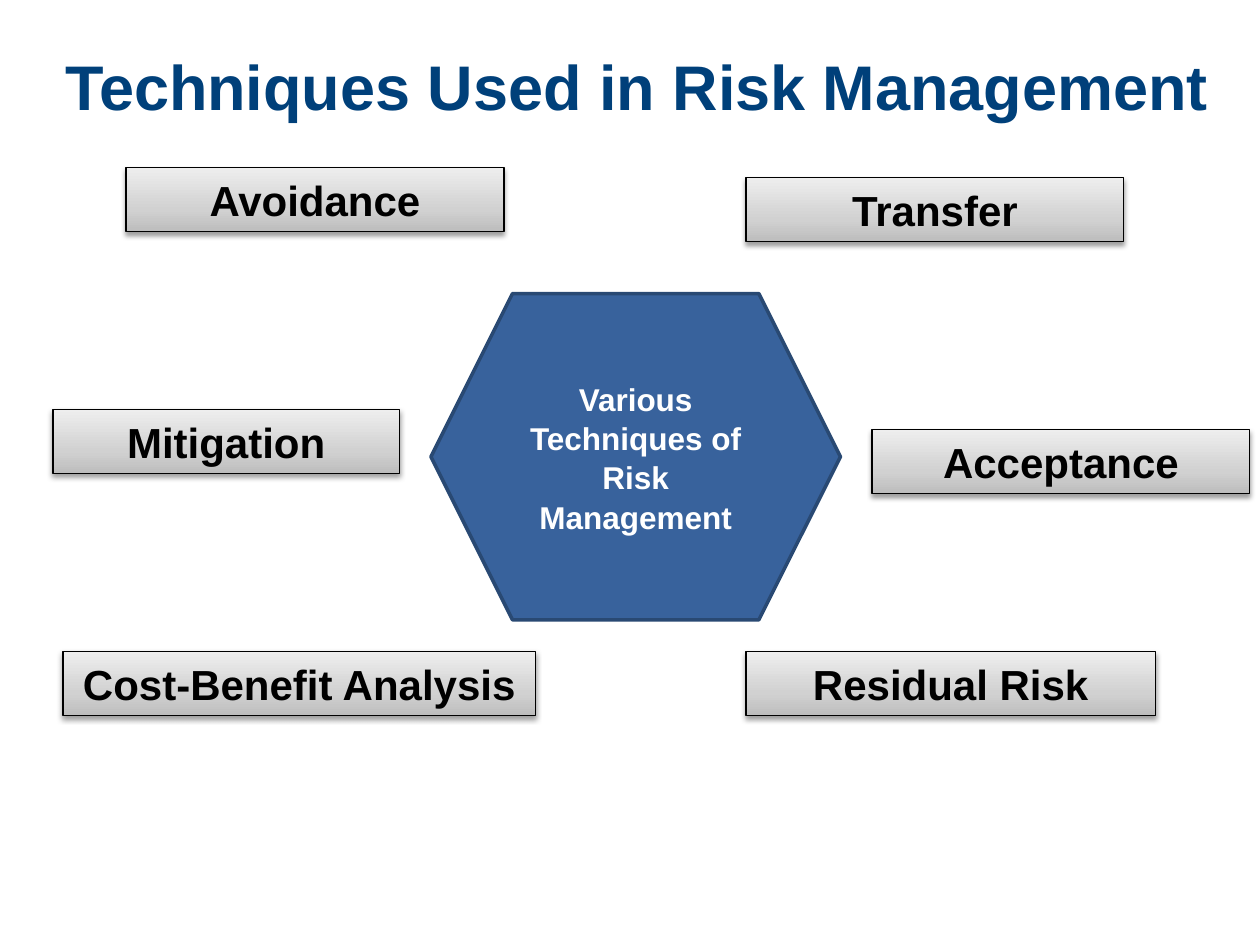
from copy import deepcopy

from lxml import etree
from pptx import Presentation
from pptx.dml.color import RGBColor
from pptx.enum.shapes import MSO_SHAPE
from pptx.enum.text import MSO_ANCHOR, MSO_AUTO_SIZE, PP_ALIGN
from pptx.oxml.ns import qn
from pptx.util import Inches, Pt

RECTANGLE, HEXAGON = MSO_SHAPE.RECTANGLE, MSO_SHAPE.HEXAGON
LEFT, CENTER = PP_ALIGN.LEFT, PP_ALIGN.CENTER
TOP, MIDDLE = MSO_ANCHOR.TOP, MSO_ANCHOR.MIDDLE
GROW = MSO_AUTO_SIZE.SHAPE_TO_FIT_TEXT

BOX_HEIGHT = 0.51
BOX_GRADIENT = [(0, "BDBDBD"), (0.35, "D1D1D1"), (1, "EEEEEE")]

# Technique, left, top, width
TECHNIQUES = [
    ("Avoidance", 1, 1.33, 3),
    ("Mitigation", 0.42, 3.25, 2.75),
    ("Cost-Benefit Analysis", 0.5, 5.17, 3.75),
    ("Residual Risk", 5.92, 5.17, 3.25),
    ("Acceptance", 6.92, 3.41, 3),
    ("Transfer", 5.92, 1.41, 3),
]


def color(value):
    return RGBColor.from_string(value)


def set_text(sp, text, size, font_color, align=CENTER, anchor=MIDDLE):
    tf = sp.text_frame
    tf.word_wrap = True
    tf.vertical_anchor = anchor
    p = tf.paragraphs[0]
    p.text = text
    p.alignment = align
    p.font.name = "Arial"
    p.font.size = Pt(size)
    p.font.bold = True
    p.font.color.rgb = color(font_color)
    return p


def add_shape(s, kind, left, top, width, height, line_color, line_width):
    sp = s.shapes.add_shape(kind, Inches(left), Inches(top), Inches(width), Inches(height))
    sp.shadow.inherit = False
    sp.line.color.rgb = color(line_color)
    sp.line.width = Pt(line_width)
    return sp


def set_gradient(sp, stops):
    """Fill from bottom to top."""
    sp.fill.gradient()
    sp.fill.gradient_angle = 90
    gs_list = sp._element.spPr.find(".//" + qn("a:gsLst"))
    while len(gs_list) < len(stops):
        gs_list.append(deepcopy(gs_list[-1]))
    for stop, (position, value) in zip(sp.fill.gradient_stops, stops):
        stop.position = position
        stop.color.rgb = color(value)


def set_shadow(sp):
    effects = sp._element.spPr.find(qn("a:effectLst"))
    shadow = etree.SubElement(effects, qn("a:outerShdw"), blurRad=str(Pt(3.1)),
                              dist=str(Pt(1.6)), dir="5400000", rotWithShape="0")
    black = etree.SubElement(shadow, qn("a:srgbClr"), val="000000")
    etree.SubElement(black, qn("a:alpha"), val="38000")


def add_title(s, text):
    sp = s.shapes.add_textbox(Inches(0.42), Inches(0.33), Inches(9.5), Inches(1.08))
    set_text(sp, text, 36, "00407A", LEFT, TOP)


def add_hub(s, text):
    sp = add_shape(s, HEXAGON, 3.42, 2.33, 3.25, 2.59, "294973", 2)
    sp.fill.solid()
    sp.fill.fore_color.rgb = color("38629C")
    p = set_text(sp, text, 18, "FFFFFF")
    p.space_before = Pt(9)
    p.line_spacing = 1.04


def add_technique(s, text, left, top, width):
    sp = add_shape(s, RECTANGLE, left, top, width, BOX_HEIGHT, "000000", 0.75)
    set_gradient(sp, BOX_GRADIENT)
    set_shadow(sp)
    set_text(sp, text, 24, "000000")
    sp.text_frame.auto_size = GROW


def main():
    prs = Presentation()
    prs.slide_width, prs.slide_height = Inches(10), Inches(7.5)
    s = prs.slides.add_slide(prs.slide_layouts[6])

    add_title(s, "Techniques Used in Risk Management")
    add_hub(s, "Various Techniques of Risk Management")
    for technique in TECHNIQUES:
        add_technique(s, *technique)

    prs.save("out.pptx")


if __name__ == "__main__":
    main()
